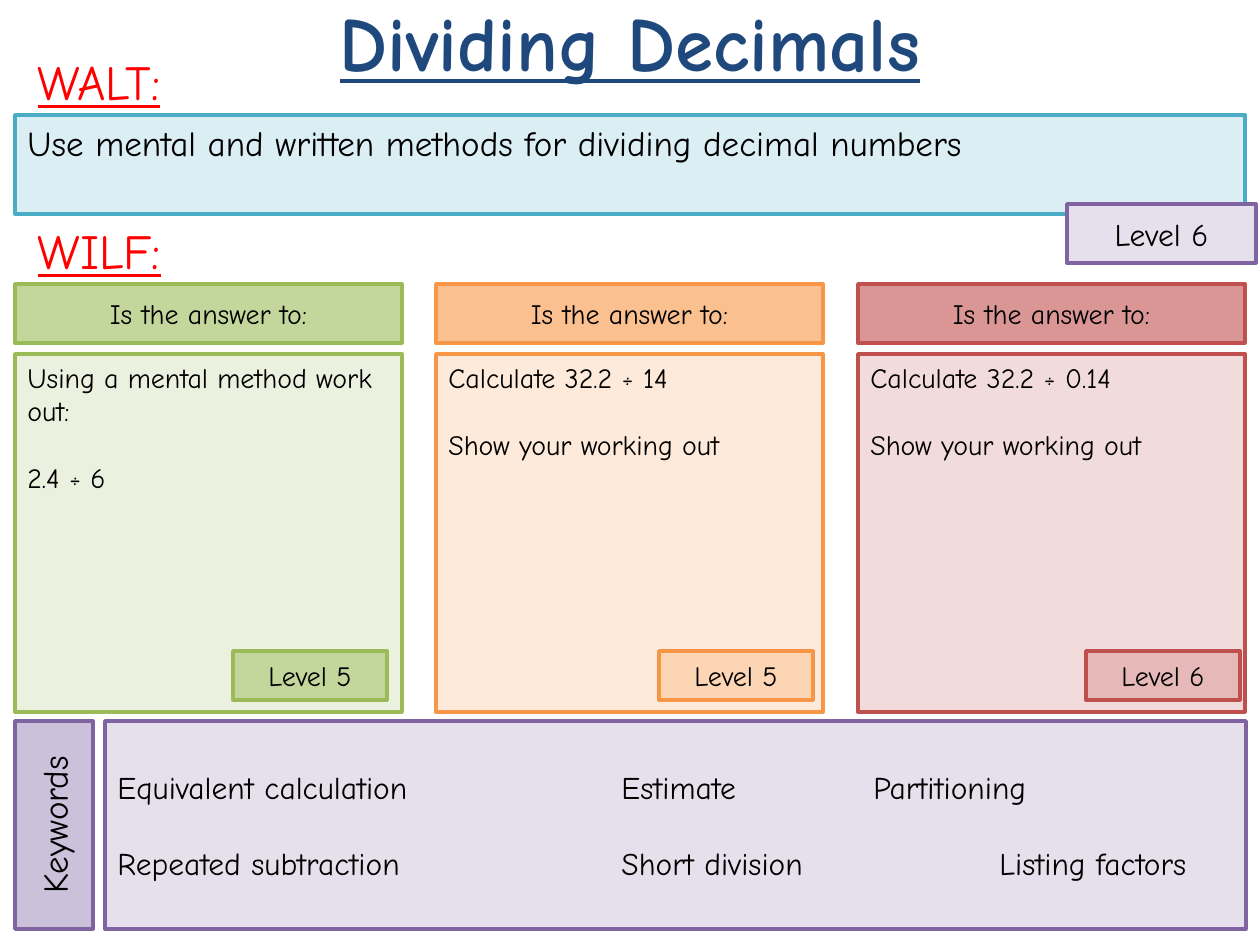
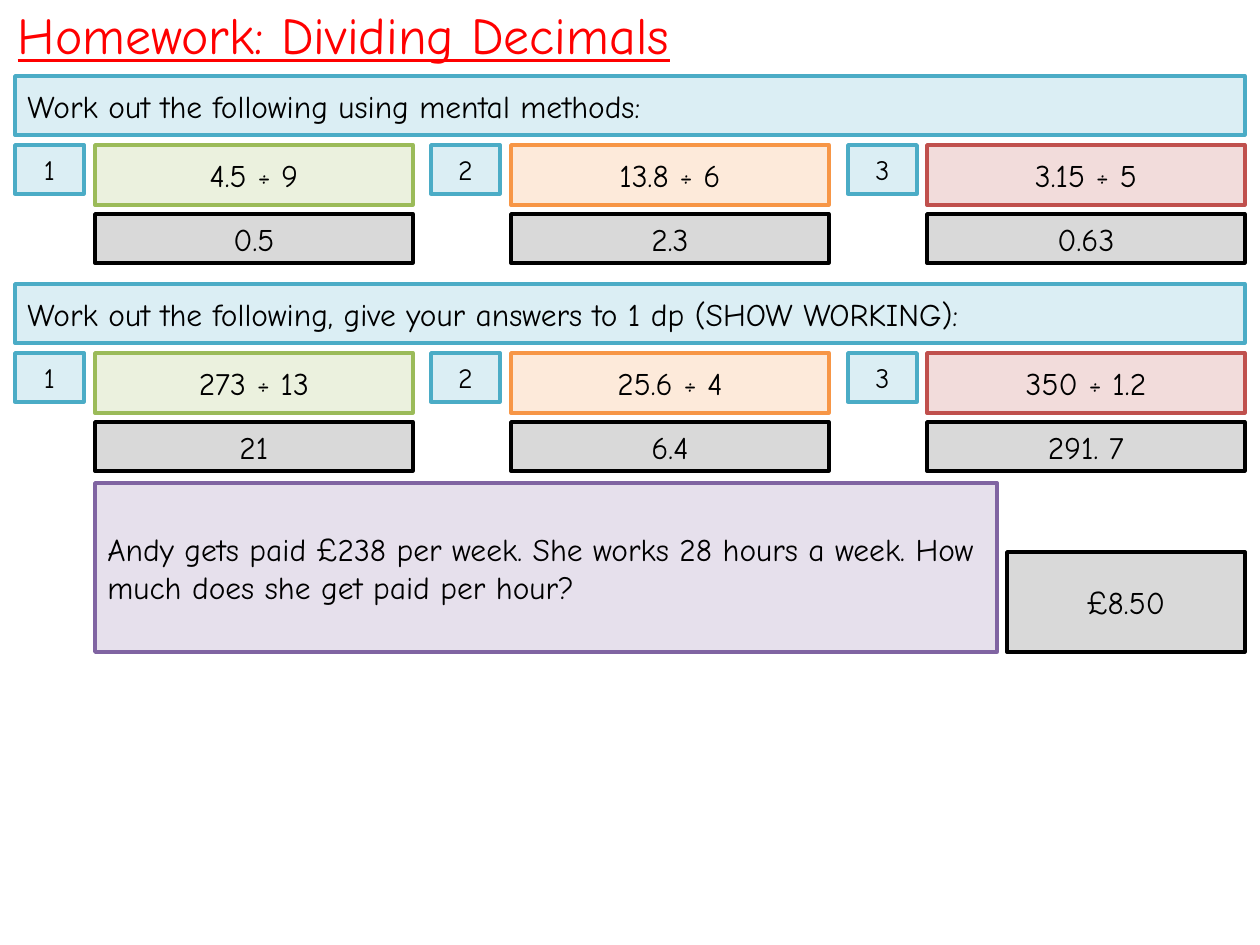
from dataclasses import dataclass
from typing import NamedTuple

from lxml.etree import SubElement
from pptx import Presentation
from pptx.dml.color import RGBColor
from pptx.enum.shapes import MSO_SHAPE
from pptx.enum.text import MSO_ANCHOR, MSO_AUTO_SIZE, PP_ALIGN
from pptx.oxml.ns import qn
from pptx.util import Emu, Pt

SCALE = 914400 / 126
INCH = 126


class Box(NamedTuple):
    left: int
    top: int
    width: int
    height: int


class Tone(NamedTuple):
    line: str
    pale: str
    tag: str
    head: str


@dataclass(frozen=True)
class Theme:
    font: str = "Comic Neue"
    ink: str = "000000"
    navy: str = "1F497D"
    red: str = "FF0000"
    teal: Tone = Tone("4BACC6", "DBEEF4", "DBEEF4", "DBEEF4")
    purple: Tone = Tone("8064A2", "E6E0EC", "E6E0EC", "CCC1DA")
    gray: Tone = Tone("000000", "D9D9D9", "D9D9D9", "D9D9D9")
    columns: tuple[Tone, ...] = (
        Tone("9BBB59", "EBF1DE", "C3D69B", "C3D69B"),
        Tone("F79646", "FDEADA", "FCD5B5", "FAC090"),
        Tone("C0504D", "F2DCDB", "E6B9B8", "D99694"),
    )
    border: float = 2
    title: float = 44
    homework: float = 29.6
    label: float = 28
    large: float = 20
    medium: float = 18
    small: float = 16
    leading: float = 1.2


@dataclass(frozen=True)
class Panel:
    box: Box
    text: str
    fill: str
    line: str
    size: float
    align: PP_ALIGN = PP_ALIGN.CENTER
    anchor: MSO_ANCHOR = MSO_ANCHOR.MIDDLE
    turn: int = 0


class Card(NamedTuple):
    text: str
    level: str


class Sum(NamedTuple):
    question: str
    answer: str


THEME = Theme()
LEFT, WIDE = 15, 1230
BAND = 59
CARDS = (
    Card("Using a mental method work out:\n2.4 ÷ 6", "Level 5"),
    Card("Calculate 32.2 ÷ 14\nShow your working out", "Level 5"),
    Card("Calculate 32.2 ÷ 0.14\nShow your working out", "Level 6"),
)
KEYWORDS = (
    ("Equivalent calculation", "Estimate", "Partitioning"),
    ("Repeated subtraction", "Short division", "Listing factors"),
)
STOPS = ((4, 6), (4, 7))
MENTAL = (Sum("4.5 ÷ 9", "0.5"), Sum("13.8 ÷ 6", "2.3"), Sum("3.15 ÷ 5", "0.63"))
WRITTEN = (Sum("273 ÷ 13", "21"), Sum("25.6 ÷ 4", "6.4"), Sum("350 ÷ 1.2", "291. 7"))


def emu(px: int) -> Emu:
    return Emu(round(px * SCALE))


def spread(first: int, last: int) -> list[int]:
    """Left edges of three evenly spaced columns."""
    return [first + i * (last - first) // 2 for i in range(3)]


def place(shape, box: Box) -> None:
    shape.left, shape.top, shape.width, shape.height = map(emu, box)


def write(frame, text: str, size: float, color: str, align: PP_ALIGN,
          gap: float, bold: bool = False, underline: bool = False) -> None:
    """Fill a frame, leaving gap points between its paragraphs."""
    frame.text = text
    frame.word_wrap = True
    for i, para in enumerate(frame.paragraphs):
        para.alignment = align
        para.space_before = Pt(gap if i else 0)
        for run in para.runs:
            font = run.font
            font.name, font.size = THEME.font, Pt(size)
            font.bold, font.underline = bold, underline
            font.color.rgb = RGBColor.from_string(color)


def draw(slide, panel: Panel):
    shape = slide.shapes.add_shape(MSO_SHAPE.RECTANGLE, *map(emu, panel.box))
    shape.rotation = panel.turn
    shape.shadow.inherit = False
    shape.fill.solid()
    shape.fill.fore_color.rgb = RGBColor.from_string(panel.fill)
    shape.line.color.rgb = RGBColor.from_string(panel.line)
    shape.line.width = Pt(THEME.border)
    shape.text_frame.vertical_anchor = panel.anchor
    write(shape.text_frame, panel.text, panel.size, THEME.ink, panel.align,
          panel.size * THEME.leading)
    return shape


def hold(shape, box: Box, anchor: MSO_ANCHOR):
    """Move a placeholder and return its frame at a fixed text size."""
    place(shape, box)
    frame = shape.text_frame
    frame.auto_size = MSO_AUTO_SIZE.NONE
    frame.vertical_anchor = anchor
    return frame


def label(slide) -> None:
    frame = hold(slide.placeholders[1], Box(25, 45, 1201, 853), MSO_ANCHOR.TOP)
    write(frame, "WALT:\nWILF:", THEME.label, THEME.red, PP_ALIGN.LEFT, 63,
          underline=True)
    for para in frame.paragraphs:
        props = para._p.get_or_add_pPr()
        props.set("marL", "0")
        props.set("indent", "0")
        SubElement(props, qn("a:buNone"))


def glossary(slide) -> None:
    tone = THEME.purple
    text = "\n".join("\t".join(row) for row in KEYWORDS)
    shape = draw(slide, Panel(Box(105, 721, 1141, 208), text, tone.pale,
                              tone.line, THEME.medium, PP_ALIGN.LEFT))
    for para, stops in zip(shape.text_frame.paragraphs, STOPS):
        tabs = SubElement(para._p.get_or_add_pPr(), qn("a:tabLst"))
        for stop in stops:
            SubElement(tabs, qn("a:tab"), pos=str(emu(stop * INCH)), algn="l")
    draw(slide, Panel(Box(-50, 786, 208, 78), "Keywords", tone.head,
                      tone.line, THEME.large, turn=270))


def lesson(deck) -> None:
    slide = deck.slides.add_slide(deck.slide_layouts[1])
    frame = hold(slide.shapes.title, Box(0, -4, 1260, 89), MSO_ANCHOR.MIDDLE)
    write(frame, "Dividing Decimals", THEME.title, THEME.navy,
          PP_ALIGN.CENTER, 0, bold=True, underline=True)
    label(slide)
    teal, purple = THEME.teal, THEME.purple
    draw(slide, Panel(Box(LEFT, 115, WIDE, 99),
                      "Use mental and written methods for dividing decimal numbers",
                      teal.pale, teal.line, THEME.large, PP_ALIGN.LEFT, MSO_ANCHOR.TOP))
    draw(slide, Panel(Box(1067, 204, 189, BAND), "Level 6",
                      purple.tag, purple.line, THEME.medium))
    columns = zip(CARDS, THEME.columns, spread(LEFT, 858), spread(233, 1086))
    for card, tone, left, tag in columns:
        draw(slide, Panel(Box(left, 284, 387, BAND), "Is the answer to:",
                          tone.head, tone.line, THEME.small))
        draw(slide, Panel(Box(left, 354, 387, 358), card.text, tone.pale,
                          tone.line, THEME.small, PP_ALIGN.LEFT, MSO_ANCHOR.TOP))
        draw(slide, Panel(Box(tag, 651, 154, 49), card.level,
                          tone.tag, tone.line, THEME.small))
    glossary(slide)


def practice(slide, top: int, task: str, sums: tuple[Sum, ...]) -> None:
    """Draw a task band with its numbered questions and their answers."""
    teal, gray = THEME.teal, THEME.gray
    draw(slide, Panel(Box(LEFT, top, WIDE, BAND), task, teal.pale, teal.line,
                      THEME.medium, PP_ALIGN.LEFT))
    columns = zip(sums, THEME.columns, spread(LEFT, 848), spread(95, 927))
    for number, (item, tone, edge, left) in enumerate(columns, 1):
        draw(slide, Panel(Box(left, top + 69, 318, 60), item.question,
                          tone.pale, tone.line, THEME.medium))
        draw(slide, Panel(Box(edge, top + 69, 69, 49), str(number),
                          teal.tag, teal.line, THEME.small))
        draw(slide, Panel(Box(left, top + 138, 318, 49), item.answer,
                          gray.pale, gray.line, THEME.medium))


def homework(deck) -> None:
    slide = deck.slides.add_slide(deck.slide_layouts[5])
    frame = hold(slide.shapes.title, Box(5, -4, 1201, 79), MSO_ANCHOR.TOP)
    write(frame, "Homework: Dividing Decimals", THEME.homework, THEME.red,
          PP_ALIGN.LEFT, 0, underline=True)
    practice(slide, 76, "Work out the following using mental methods:", MENTAL)
    practice(slide, 284,
             "Work out the following, give your answers to 1 dp (SHOW WORKING):",
             WRITTEN)
    purple, gray = THEME.purple, THEME.gray
    draw(slide, Panel(Box(95, 483, 902, 169),
                      "Andy gets paid £238 per week. She works 28 hours a week. "
                      "How much does she get paid per hour?",
                      purple.pale, purple.line, THEME.medium, PP_ALIGN.LEFT))
    draw(slide, Panel(Box(1007, 552, 238, 100), "£8.50",
                      gray.pale, gray.line, THEME.medium))


def main() -> None:
    deck = Presentation()
    deck.slide_width, deck.slide_height = emu(1260), emu(945)
    lesson(deck)
    homework(deck)
    deck.save("out.pptx")


if __name__ == "__main__":
    main()
